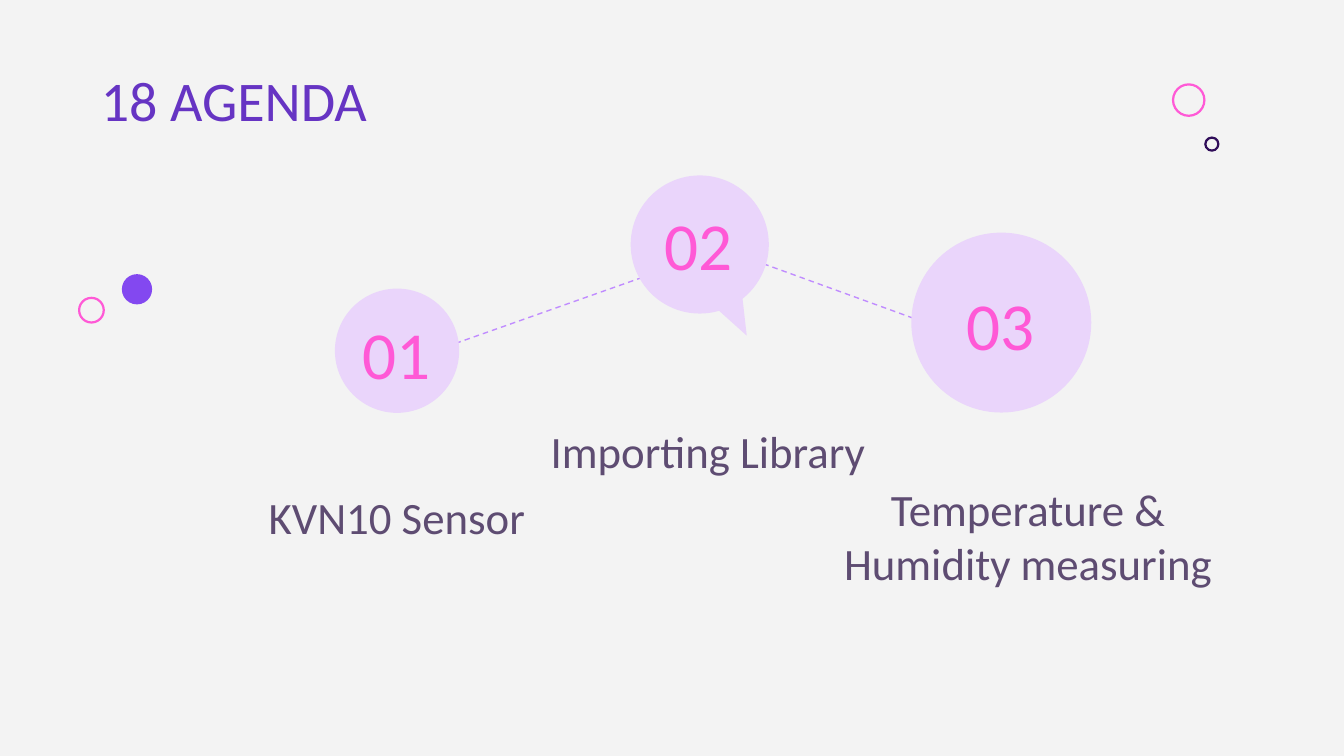
from lxml import etree
from pptx import Presentation
from pptx.dml.color import RGBColor
from pptx.enum.dml import MSO_LINE
from pptx.enum.shapes import MSO_CONNECTOR, MSO_SHAPE
from pptx.enum.text import MSO_ANCHOR, MSO_AUTO_SIZE, PP_ALIGN
from pptx.oxml.ns import qn
from pptx.util import Pt

OVAL, CALLOUT = MSO_SHAPE.OVAL, MSO_SHAPE.OVAL_CALLOUT
STRAIGHT = MSO_CONNECTOR.STRAIGHT
DASH = MSO_LINE.DASH
NO_AUTOFIT = MSO_AUTO_SIZE.NONE
TOP, MIDDLE, BOTTOM = MSO_ANCHOR.TOP, MSO_ANCHOR.MIDDLE, MSO_ANCHOR.BOTTOM
LEFT, CENTER = PP_ALIGN.LEFT, PP_ALIGN.CENTER

BACKGROUND = RGBColor(0xF3, 0xF3, 0xF3)
PINK = RGBColor(0xFF, 0x59, 0xD6)
NAVY = RGBColor(0x30, 0x0D, 0x59)
VIOLET = RGBColor(0x83, 0x48, 0xF0)
PURPLE = RGBColor(0x66, 0x34, 0xC3)
LILAC = RGBColor(0xEA, 0xD5, 0xFB)
LINK = RGBColor(0xC0, 0x8C, 0xFF)
PLUM = RGBColor(0x5E, 0x4C, 0x72)

prs = Presentation()
prs.slide_width, prs.slide_height = Pt(720), Pt(405)
slide = prs.slides.add_slide(prs.slide_layouts[5])
slide.background.fill.solid()
slide.background.fill.fore_color.rgb = BACKGROUND


def write(box, text, *, at, size, color, align=CENTER, anchor=MIDDLE):
    """Place a text shape at (left, top, width, height) and fill it."""
    box.left, box.top, box.width, box.height = map(Pt, at)
    frame = box.text_frame
    frame.word_wrap = True
    frame.auto_size = NO_AUTOFIT
    frame.vertical_anchor = anchor
    frame.margin_left = frame.margin_right = Pt(7.2)
    frame.margin_top = frame.margin_bottom = Pt(7.2)
    paragraph = frame.paragraphs[0]
    paragraph.alignment = align
    run = paragraph.add_run()
    run.text = text
    run.font.name = "Calibri"
    run.font.size = Pt(size)
    run.font.color.rgb = color


def add_circle(x, y, diameter, fill=None, outline=None, kind=OVAL):
    """Draw a circle centred on (x, y)."""
    circle = slide.shapes.add_shape(
        kind, Pt(x - diameter / 2), Pt(y - diameter / 2), Pt(diameter), Pt(diameter))
    circle.shadow.inherit = False
    if fill is None:
        circle.fill.background()
    else:
        circle.fill.solid()
        circle.fill.fore_color.rgb = fill
    if outline is None:
        circle.line.fill.background()
    else:
        circle.line.color.rgb = outline
        circle.line.width = Pt(1.2)
    return circle


write(slide.shapes.title, "18 AGENDA", at=(46.8, 28, 530, 51),
      size=30, color=PURPLE, align=LEFT, anchor=TOP)

# Corner decoration
add_circle(636.8, 53.6, 16.8, outline=PINK)
add_circle(649.2, 77.2, 7, outline=NAVY)
add_circle(73.4, 155, 16.2, fill=VIOLET)
add_circle(49, 166.2, 13.2, outline=PINK)

# Dashed links run behind the agenda circles
for x1, y1, x2, y2 in [(375, 129, 532, 186), (210, 196, 377, 137)]:
    link = slide.shapes.add_connector(STRAIGHT, Pt(x1), Pt(y1), Pt(x2), Pt(y2))
    link.line.color.rgb = LINK
    link.line.width = Pt(0.75)
    link.line.dash_style = DASH
    etree.SubElement(link._element.spPr, qn("a:effectLst"))

# number, circle (x, y, diameter, kind), number box centre and width, label, label box
agenda = [
    ("01", (212.7, 187.9, 66.6, OVAL), (212.4, 189, 57),
     "KVN10 Sensor", (111.6, 231.4, 202, 67)),
    ("02", (374.9, 131, 74, CALLOUT), (374.4, 130.7, 104),
     "Importing Library", (270.2, 212, 218, 51)),
    ("03", (536.4, 172.8, 96.4, OVAL), (536.1, 173.2, 95),
     "Temperature & Humidity measuring", (439.2, 253.8, 223, 69)),
]
for number, (x, y, diameter, kind), (num_x, num_y, num_w), label, label_at in agenda:
    circle = add_circle(x, y, diameter, fill=LILAC, kind=kind)
    if kind == CALLOUT:
        circle.adjustments[0], circle.adjustments[1] = 0.34, 0.66
    write(slide.shapes.add_textbox(0, 0, 0, 0), number,
          at=(num_x - num_w / 2, num_y - 22.7, num_w, 45.4), size=36, color=PINK)
    write(slide.shapes.add_textbox(0, 0, 0, 0), label,
          at=label_at, size=24, color=PLUM, anchor=BOTTOM)

prs.save("out.pptx")
